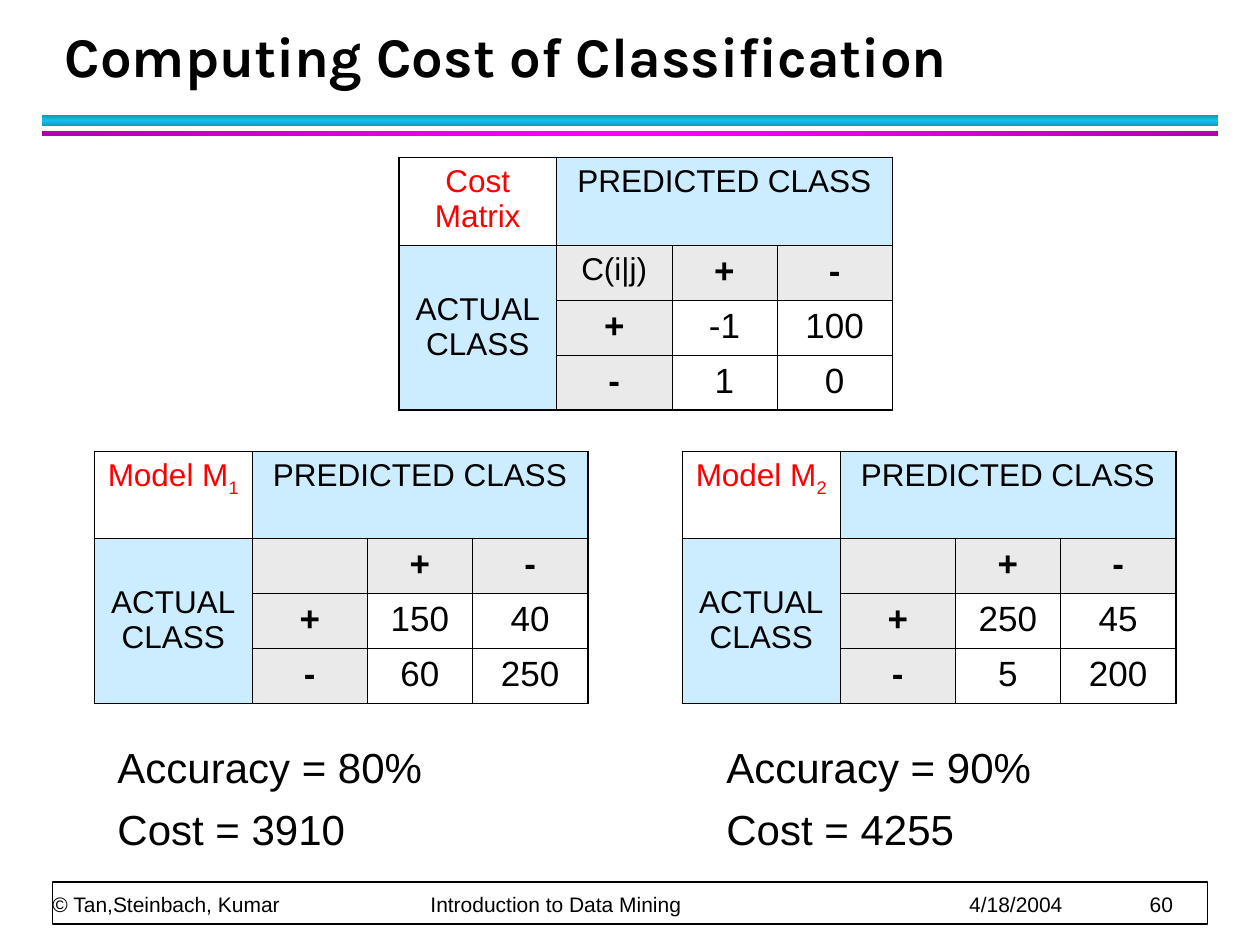
from copy import deepcopy

from lxml.etree import SubElement
from pptx import Presentation
from pptx.dml.color import RGBColor
from pptx.enum.shapes import MSO_SHAPE
from pptx.enum.text import MSO_ANCHOR, PP_ALIGN
from pptx.oxml.ns import qn
from pptx.util import Inches, Pt

BLACK = RGBColor(0x00, 0x00, 0x00)
WHITE = RGBColor(0xFF, 0xFF, 0xFF)
RED = RGBColor(0xFF, 0x00, 0x00)
PALE_BLUE = RGBColor(0xCC, 0xEC, 0xFF)
PALE_GREY = RGBColor(0xEA, 0xEA, 0xEA)
TEAL = RGBColor(0x0E, 0x9B, 0xBA)
CYAN = RGBColor(0x12, 0xC2, 0xE9)
PURPLE = RGBColor(0xB2, 0x00, 0xB2)
MAGENTA = RGBColor(0xFF, 0x00, 0xFF)

deck = Presentation()
deck.slide_width, deck.slide_height = Inches(10), Inches(7.5)
slide = deck.slides.add_slide(deck.slide_layouts[6])
COLUMN = deck.slide_width / 120
ROW = deck.slide_height / 90

TITLE = {"name": "Karla", "size": Pt(32), "bold": True}
FOOTER = {"name": "Arial", "size": Pt(12)}
RESULT = {"name": "Arial", "size": Pt(24)}
HEADING = {"name": "Arial", "size": Pt(18)}
SIGN = {"name": "Arial", "size": Pt(20), "bold": True}
COUNT = {"name": "Arial", "size": Pt(20), "bold": False}
NO_INSETS = {"margin_left": 0, "margin_right": 0, "margin_top": 0, "margin_bottom": 0}


def place(left, top, width, height):
    return [int(left * COLUMN), int(top * ROW), int(width * COLUMN), int(height * ROW)]


def write(paragraph, text, formats, color=BLACK):
    run = paragraph.add_run()
    run.text = text
    for key, value in formats.items():
        setattr(run.font, key, value)
    run.font.color.rgb = color
    return run


for top, height, angle, edge, middle in [
    (11, 1, 90, TEAL, CYAN),
    (12.5, 0.5, 0, PURPLE, MAGENTA),
]:
    rule = slide.shapes.add_shape(MSO_SHAPE.RECTANGLE, *place(4, top, 112, height))
    rule.shadow.inherit = False
    rule.line.fill.background()
    rule.fill.gradient()
    rule.fill.gradient_angle = angle
    stops = rule.element.spPr.find(qn("a:gradFill")).find(qn("a:gsLst"))
    stops.append(deepcopy(stops[0]))
    for stop, position, color in zip(
        rule.fill.gradient_stops, (0, 0.5, 1), (edge, middle, edge)
    ):
        stop.position = position
        stop.color.rgb = color

footer_frame = slide.shapes.add_shape(MSO_SHAPE.RECTANGLE, *place(5, 84, 110, 4))
footer_frame.shadow.inherit = False
footer_frame.fill.solid()
footer_frame.fill.fore_color.rgb = WHITE
footer_frame.line.color.rgb = BLACK
footer_frame.line.width = Pt(1)

footer = slide.shapes.add_textbox(*place(5, 80.6, 110, 6.75)).text_frame
for key, value in {
    **NO_INSETS, "word_wrap": True, "vertical_anchor": MSO_ANCHOR.BOTTOM
}.items():
    setattr(footer, key, value)
footer_line = footer.paragraphs[0]
footer_line.line_spacing = Pt(20)
tabs = SubElement(footer_line._p.get_or_add_pPr(), qn("a:tabLst"))
for stop in (36, 87.3, 104.5):
    SubElement(tabs, qn("a:tab"), pos=str(int(stop * COLUMN)), algn="l")
write(
    footer_line,
    "© Tan,Steinbach, Kumar\tIntroduction to Data Mining\t4/18/2004\t60",
    FOOTER,
)

title = slide.shapes.add_textbox(*place(5, 2, 109, 7)).text_frame
title.word_wrap = True
title.vertical_anchor = MSO_ANCHOR.BOTTOM
title.paragraphs[0].line_spacing = Pt(36)
write(title.paragraphs[0], "Computing Cost of Classification", TITLE)

matrices = [
    (38, 15, 8.4, "Cost Matrix", "", "C(i|j)", [["-1", "100"], ["1", "0"]]),
    (9, 43, 8.3, "Model M", "1", "", [["150", "40"], ["60", "250"]]),
    (65, 43, 8.3, "Model M", "2", "", [["250", "45"], ["5", "200"]]),
]
for left, top, heading_rows, name, subscript, corner, counts in matrices:
    matrix = slide.shapes.add_table(4, 4, *place(left, top, 47, 24)).table
    matrix.first_row = matrix.horz_banding = False
    matrix._tbl.tblPr.find(qn("a:tableStyleId")).text = (
        "{2D5ABB26-0587-4C30-8999-92F81FD0307C}"
    )
    for column, share in zip(matrix.columns, (15, 11, 10, 11)):
        column.width = int(share * COLUMN)
    for row, share in zip(matrix.rows, [heading_rows] + [(24 - heading_rows) / 3] * 3):
        row.height = int(share * ROW)
    matrix.cell(0, 1).merge(matrix.cell(0, 3))
    matrix.cell(1, 0).merge(matrix.cell(3, 0))

    wording = [
        [name, "PREDICTED CLASS", "", ""],
        ["ACTUAL\vCLASS", corner, "+", "-"],
        ["", "+", *counts[0]],
        ["", "-", *counts[1]],
    ]
    for r, words in enumerate(wording):
        for c, text in enumerate(words):
            cell = matrix.cell(r, c)
            outer = {"L": c == 0, "R": c == 3, "T": r == 0, "B": r == 3}
            if cell.is_merge_origin:
                outer["R"] = c + cell.span_width == 4
                outer["B"] = r + cell.span_height == 4
            for side, is_outer in outer.items():
                if cell.is_spanned and not is_outer:
                    continue
                border = SubElement(
                    cell._tc.get_or_add_tcPr(),
                    qn(f"a:ln{side}"),
                    w=str(Pt(1.08) if is_outer else Pt(0.45)),
                )
                ink = SubElement(border, qn("a:solidFill"))
                SubElement(ink, qn("a:srgbClr"), val=str(BLACK))

            is_heading = r == 0 or c == 0
            is_label = not is_heading and (r == 1 or c == 1)
            if (r, c) == (0, 0) or not (is_heading or is_label):
                cell.fill.background()
            else:
                cell.fill.solid()
                cell.fill.fore_color.rgb = PALE_BLUE if is_heading else PALE_GREY

            if not text:
                continue
            paragraph = cell.text_frame.paragraphs[0]
            paragraph.alignment = PP_ALIGN.CENTER
            formats = COUNT
            if is_heading or (r, c) == (1, 1):
                formats = HEADING
            elif is_label:
                formats = SIGN
            color = RED if (r, c) == (0, 0) else BLACK
            for index, line in enumerate(text.split("\v")):
                if index:
                    paragraph.add_line_break()
                write(paragraph, line, formats, color)
            if (r, c) == (0, 0) and subscript:
                lowered = write(paragraph, subscript, formats, color)
                lowered.font._element.set("baseline", "-25000")
    matrix.cell(1, 0).margin_top = int(4.4 * ROW)

for left, accuracy, cost in [(10, "80%", "3910"), (68, "90%", "4255")]:
    result = slide.shapes.add_textbox(*place(left, 70, 40, 13)).text_frame
    result.word_wrap = True
    accuracy_line, cost_line = result.paragraphs[0], result.add_paragraph()
    cost_line.space_before = Pt(3)
    for paragraph, text in [
        (accuracy_line, f"Accuracy = {accuracy}"),
        (cost_line, f"Cost = {cost}"),
    ]:
        paragraph.space_after = Pt(4)
        write(paragraph, text, RESULT)

deck.save("out.pptx")
